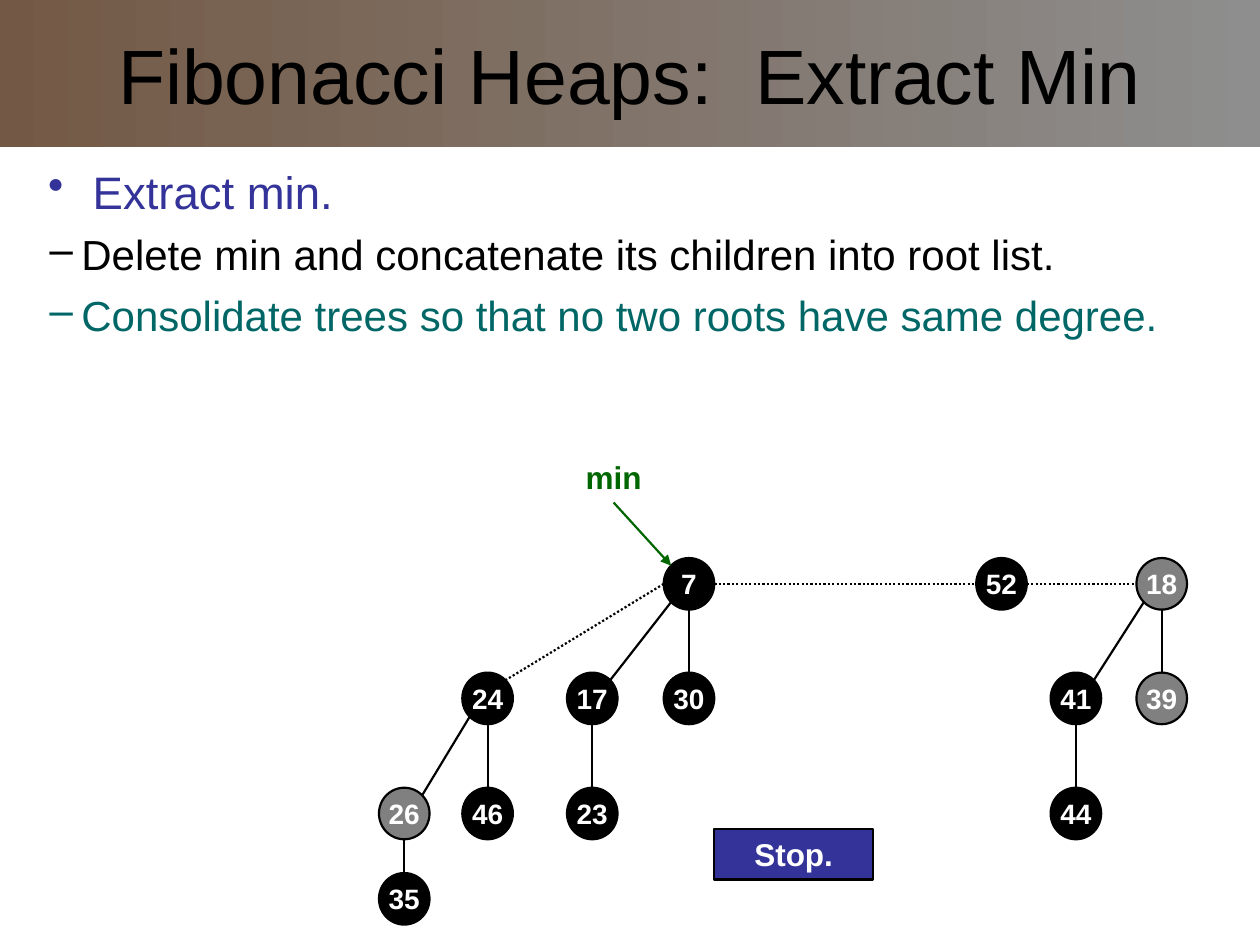
from dataclasses import dataclass
from math import sqrt

from lxml import etree
from pptx import Presentation
from pptx import util as u
from pptx.dml.color import RGBColor
from pptx.enum import dml, shapes, text
from pptx.oxml import ns

BLACK = RGBColor(0x00, 0x00, 0x00)
WHITE = RGBColor(0xFF, 0xFF, 0xFF)
GRAY = RGBColor(0x80, 0x80, 0x80)
BLUE = RGBColor(0x33, 0x33, 0x99)
TEAL = RGBColor(0x00, 0x66, 0x66)
GREEN = RGBColor(0x00, 0x66, 0x00)
TITLE_LEFT = RGBColor(0x73, 0x59, 0x45)
TITLE_RIGHT = RGBColor(0x8E, 0x8E, 0x8E)

FONT = "Arial"
LINE_WIDTH = u.Pt(1.25)
NODE_WIDTH, NODE_HEIGHT = 1.02, 1.04
LEVELS = (11.77, 14.08, 16.4, 18.12)  # node centres, top to bottom, in cm
POINTER_X, POINTER_WIDTH = 12.37, 2.4

# Sides of a node as multiples of its half width and half height
DIAGONAL = 1 / sqrt(2)
SIDES = {
    "top": (0, -1), "bottom": (0, 1), "left": (-1, 0), "right": (1, 0),
    "top left": (-DIAGONAL, -DIAGONAL), "top right": (DIAGONAL, -DIAGONAL),
    "bottom left": (-DIAGONAL, DIAGONAL),
}


@dataclass(frozen=True)
class Node:
    key: int
    x: float
    level: int
    marked: bool = False

    def point(self, side: str) -> tuple[float, float]:
        across, down = SIDES[side]
        return (self.x + across * NODE_WIDTH / 2,
                LEVELS[self.level] + down * NODE_HEIGHT / 2)


@dataclass(frozen=True)
class Edge:
    start: int
    end: int
    start_side: str = "bottom"
    end_side: str = "top"
    dotted: bool = False


@dataclass(frozen=True)
class Bullet:
    wording: str
    character: str
    size: float
    color: RGBColor
    margin: float
    indent: float
    space_before: float = 0


NODES = [
    Node(7, 13.89, 0), Node(52, 20.19, 0), Node(18, 23.42, 0, True),
    Node(24, 9.83, 1), Node(17, 11.94, 1), Node(30, 13.89, 1),
    Node(41, 21.69, 1), Node(39, 23.42, 1, True),
    Node(26, 8.15, 2, True), Node(46, 9.83, 2), Node(23, 11.94, 2),
    Node(44, 21.69, 2), Node(35, 8.15, 3),
]
EDGES = [
    Edge(7, 52, "right", "left", dotted=True),
    Edge(52, 18, "right", "left", dotted=True),
    Edge(7, 24, "left", "top right", dotted=True),
    Edge(7, 17, "bottom left", "top right"),
    Edge(18, 41, "bottom left", "top right"),
    Edge(24, 26, "bottom left", "top right"),
    Edge(7, 30), Edge(18, 39), Edge(24, 46), Edge(17, 23), Edge(41, 44),
    Edge(26, 35),
]
BULLETS = [
    Bullet("Extract min.", "•", 26, BLUE, 1.19, -0.9),
    Bullet("Delete min and concatenate its children into root list.",
           "–", 24, BLACK, 0.96, -0.64, 6),
    Bullet("Consolidate trees so that no two roots have same degree.",
           "–", 24, TEAL, 0.96, -0.64, 6),
]


def add_run(paragraph, wording: str, size: float, color: RGBColor,
            bold: bool = False) -> None:
    run = paragraph.add_run()
    run.text = wording
    run.font.name = FONT
    run.font.size = u.Pt(size)
    run.font.bold = bold
    run.font.color.rgb = color


def add_label(shape, wording: str, size: float, color: RGBColor,
              bold: bool = True, wrap: bool = False) -> None:
    frame = shape.text_frame
    frame.word_wrap = wrap
    frame.vertical_anchor = text.MSO_ANCHOR.MIDDLE
    paragraph = frame.paragraphs[0]
    paragraph.alignment = text.PP_ALIGN.CENTER
    add_run(paragraph, wording, size, color, bold)


def add_box(slide, kind, left: float, top: float, width: float, height: float,
            fill: RGBColor):
    shape = slide.shapes.add_shape(
        kind, u.Cm(left), u.Cm(top), u.Cm(width), u.Cm(height))
    shape.shadow.inherit = False
    shape.fill.solid()
    shape.fill.fore_color.rgb = fill
    shape.line.color.rgb = BLACK
    shape.line.width = LINE_WIDTH
    return shape


def add_line(slide, start: tuple[float, float], end: tuple[float, float],
             color: RGBColor = BLACK):
    line = slide.shapes.add_connector(
        shapes.MSO_CONNECTOR.STRAIGHT, *(u.Cm(value) for value in start + end))
    line.line.color.rgb = color
    line.line.width = LINE_WIDTH
    etree.SubElement(line._element.spPr, ns.qn("a:effectLst"))
    return line


def add_title(slide) -> None:
    title = add_box(slide, shapes.MSO_SHAPE.RECTANGLE, 0, 0, 25.4, 2.97, TITLE_RIGHT)
    title.line.fill.background()
    title.fill.gradient()
    title.fill.gradient_angle = 180
    for stop, color in zip(title.fill.gradient_stops, (TITLE_RIGHT, TITLE_LEFT)):
        stop.color.rgb = color
    add_label(title, "Fibonacci Heaps:  Extract Min", 44, BLACK, bold=False, wrap=True)


def add_bullets(slide) -> None:
    body = slide.shapes.add_textbox(u.Cm(0.43), u.Cm(3.18), u.Cm(24.56), u.Cm(13.84))
    frame = body.text_frame
    frame.word_wrap = True
    for index, bullet in enumerate(BULLETS):
        paragraph = frame.add_paragraph() if index else frame.paragraphs[0]
        properties = paragraph._p.get_or_add_pPr()
        properties.set("marL", str(u.Cm(bullet.margin)))
        properties.set("indent", str(u.Cm(bullet.indent)))
        mark = etree.SubElement(properties, ns.qn("a:buChar"))
        mark.set("char", bullet.character)
        paragraph.space_before = u.Pt(bullet.space_before)
        add_run(paragraph, bullet.wording, bullet.size, bullet.color)


def add_heap(slide) -> None:
    nodes = {node.key: node for node in NODES}
    for edge in EDGES:
        line = add_line(slide, nodes[edge.start].point(edge.start_side),
                        nodes[edge.end].point(edge.end_side))
        if edge.dotted:
            line.line.dash_style = dml.MSO_LINE.ROUND_DOT
    for node in NODES:
        circle = add_box(slide, shapes.MSO_SHAPE.OVAL,
                         node.x - NODE_WIDTH / 2, LEVELS[node.level] - NODE_HEIGHT / 2,
                         NODE_WIDTH, NODE_HEIGHT, GRAY if node.marked else BLACK)
        add_label(circle, str(node.key), 16, WHITE)

    # Pointer to the minimum root
    label = slide.shapes.add_textbox(
        u.Cm(POINTER_X - POINTER_WIDTH / 2), u.Cm(9.09),
        u.Cm(POINTER_WIDTH), u.Cm(NODE_HEIGHT))
    add_label(label, "min", 18, GREEN, wrap=True)
    arrow = add_line(slide, (POINTER_X, 10.13), nodes[7].point("top left"), GREEN)
    head = etree.SubElement(arrow.line._get_or_add_ln(), ns.qn("a:tailEnd"))
    head.set("type", "triangle")


def main() -> None:
    presentation = Presentation()
    presentation.slide_width, presentation.slide_height = u.Cm(25.4), u.Cm(19.05)
    slide = presentation.slides.add_slide(presentation.slide_layouts[6])

    add_title(slide)
    add_bullets(slide)
    add_heap(slide)

    # Closing step
    stop = add_box(slide, shapes.MSO_SHAPE.RECTANGLE, 14.4, 16.71, 3.2, 1.02, BLUE)
    add_label(stop, "Stop.", 18, WHITE, wrap=True)

    presentation.save("out.pptx")


if __name__ == "__main__":
    main()
